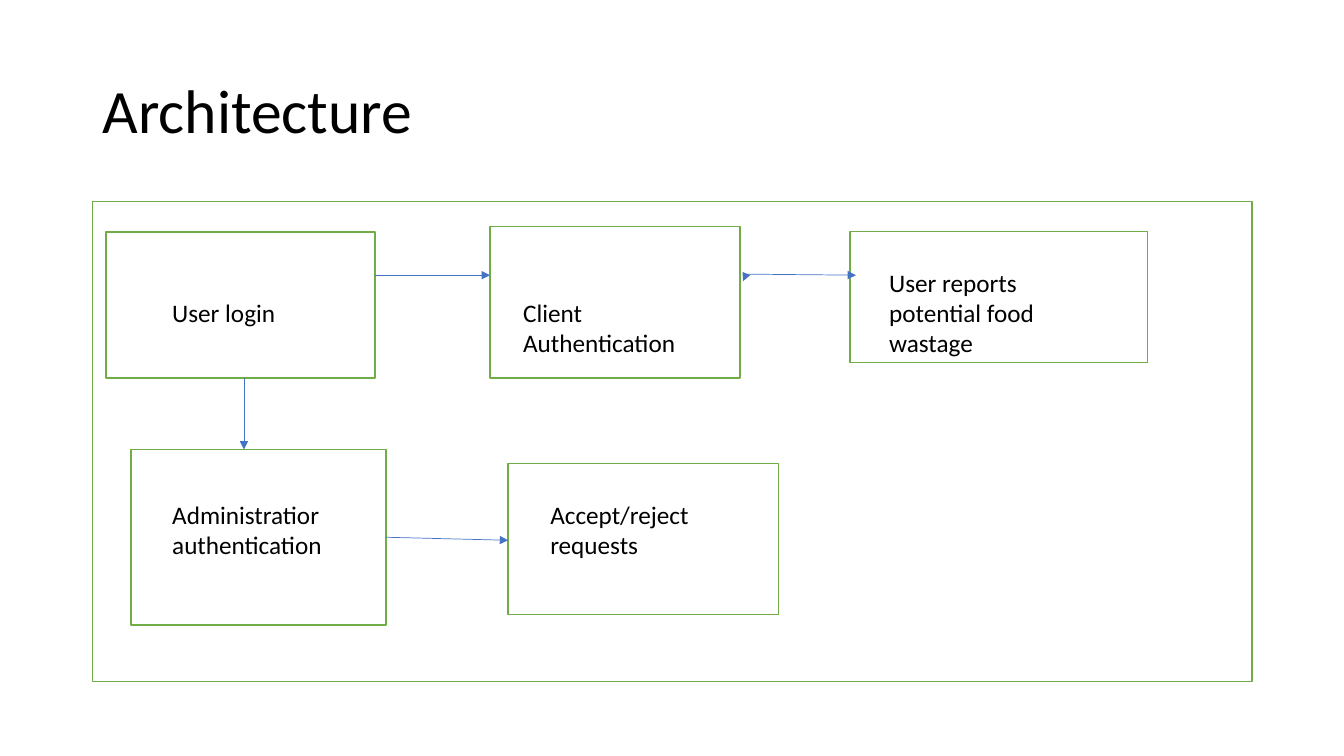
from dataclasses import dataclass

from lxml import etree
from pptx import Presentation
from pptx import util as u
from pptx.dml.color import RGBColor
from pptx.enum import shapes, text
from pptx.oxml import ns


@dataclass(frozen=True)
class Theme:
    """Colours, type sizes and line widths of the slide."""
    font: str = "Calibri"
    ink: str = "000000"
    paper: str = "FFFFFF"
    border: str = "70AD47"
    arrow: str = "4472C4"
    title_size: int = 44
    label_size: int = 18
    border_width: float = 1
    arrow_width: float = 0.5


def write(frame, words, *, theme, size, anchor=text.MSO_ANCHOR.TOP, spacing=1.0):
    """Fill a text frame with one formatted paragraph."""
    frame.word_wrap = True
    frame.vertical_anchor = anchor
    paragraph = frame.paragraphs[0]
    paragraph.line_spacing = spacing
    run = paragraph.add_run()
    run.text = words
    run.font.name = theme.font
    run.font.size = u.Pt(size)
    run.font.color.rgb = RGBColor.from_string(theme.ink)


class Diagram:
    """Draws on one slide, on a grid of ten columns and rows to the inch."""

    def __init__(self, slide, theme):
        """Keep the slide and its style."""
        self.slide = slide
        self.theme = theme

    def cells(self, *counts):
        """Turn grid counts into lengths."""
        return [u.Inches(count / 10) for count in counts]

    def box(self, *place):
        """Add a bordered rectangle."""
        shape = self.slide.shapes.add_shape(
            shapes.MSO_SHAPE.RECTANGLE, *self.cells(*place))
        shape.shadow.inherit = False
        shape.fill.solid()
        shape.fill.fore_color.rgb = RGBColor.from_string(self.theme.paper)
        shape.line.color.rgb = RGBColor.from_string(self.theme.border)
        shape.line.width = u.Pt(self.theme.border_width)

    def label(self, words, *place, **style):
        """Add a text box."""
        holder = self.slide.shapes.add_textbox(*self.cells(*place))
        write(holder.text_frame, words, theme=self.theme, **style)

    def arrow(self, *ends):
        """Add a straight line with an arrowhead at its end."""
        link = self.slide.shapes.add_connector(
            shapes.MSO_CONNECTOR.STRAIGHT, *self.cells(*ends))
        link.line.color.rgb = RGBColor.from_string(self.theme.arrow)
        link.line.width = u.Pt(self.theme.arrow_width)
        properties = link._element.spPr
        outline = properties.find(ns.qn("a:ln"))
        etree.SubElement(outline, ns.qn("a:tailEnd"), type="triangle")
        etree.SubElement(properties, ns.qn("a:effectLst"))


STEPS = [
    ("User login", (10.5, 23, 26.7, 14.5), (16.1, 29, 15.4, 4)),
    ("Client Authentication", (48.6, 22.5, 24.8, 15), (50.9, 29, 18.8, 7.1)),
    ("Administratior authentication", (13, 44.6, 25.3, 17.4), (16.1, 49, 18.7, 7.1)),
    ("Accept/reject requests", (50.4, 46, 26.8, 15), (53.6, 49, 20.4, 7.1)),
    ("User reports potential food wastage", (84.3, 23, 29.5, 13), (87.2, 26, 23.7, 10.1)),
]

FLOWS = [
    (37.2, 27.3, 48.6, 27.3),
    (74, 27.2, 73.7, 27.9),
    (74, 27.2, 84.9, 27.3),
    (24.2, 37.5, 24.2, 44.6),
    (38.3, 53.3, 50.4, 53.6),
]


def main():
    """Build the architecture slide."""
    deck = Presentation()
    deck.slide_width, deck.slide_height = u.Inches(13.33), u.Inches(7.5)
    theme = Theme()
    diagram = Diagram(deck.slides.add_slide(deck.slide_layouts[6]), theme)

    diagram.label("Architecture", 9.2, 4, 115, 14.5, size=theme.title_size,
                  anchor=text.MSO_ANCHOR.MIDDLE, spacing=0.9)
    diagram.box(9.2, 20, 115, 47.6)
    for _, outline, _ in STEPS:
        diagram.box(*outline)
    for flow in FLOWS:
        diagram.arrow(*flow)
    for words, _, place in STEPS:
        diagram.label(words, *place, size=theme.label_size)
    deck.save("out.pptx")


if __name__ == "__main__":
    main()
